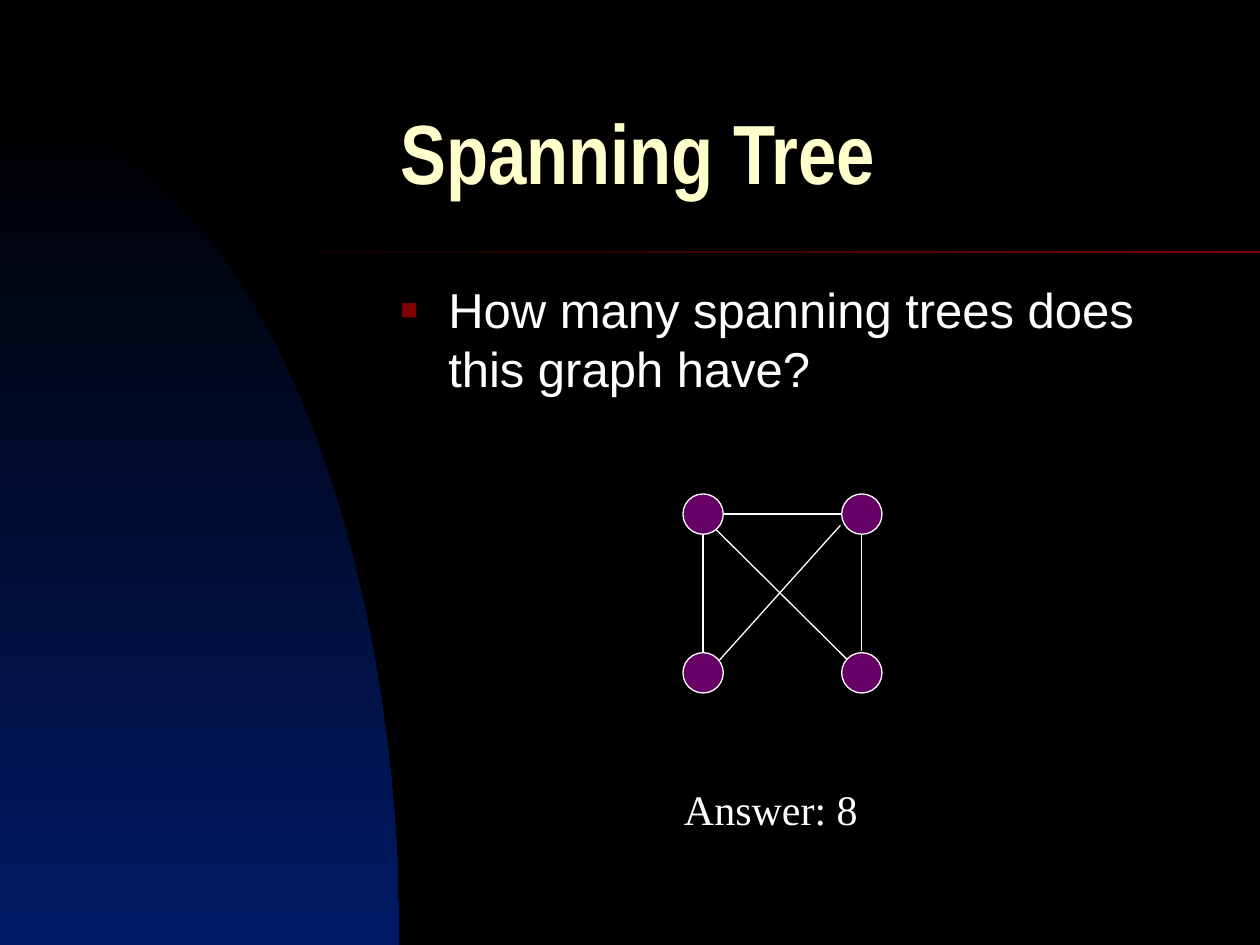
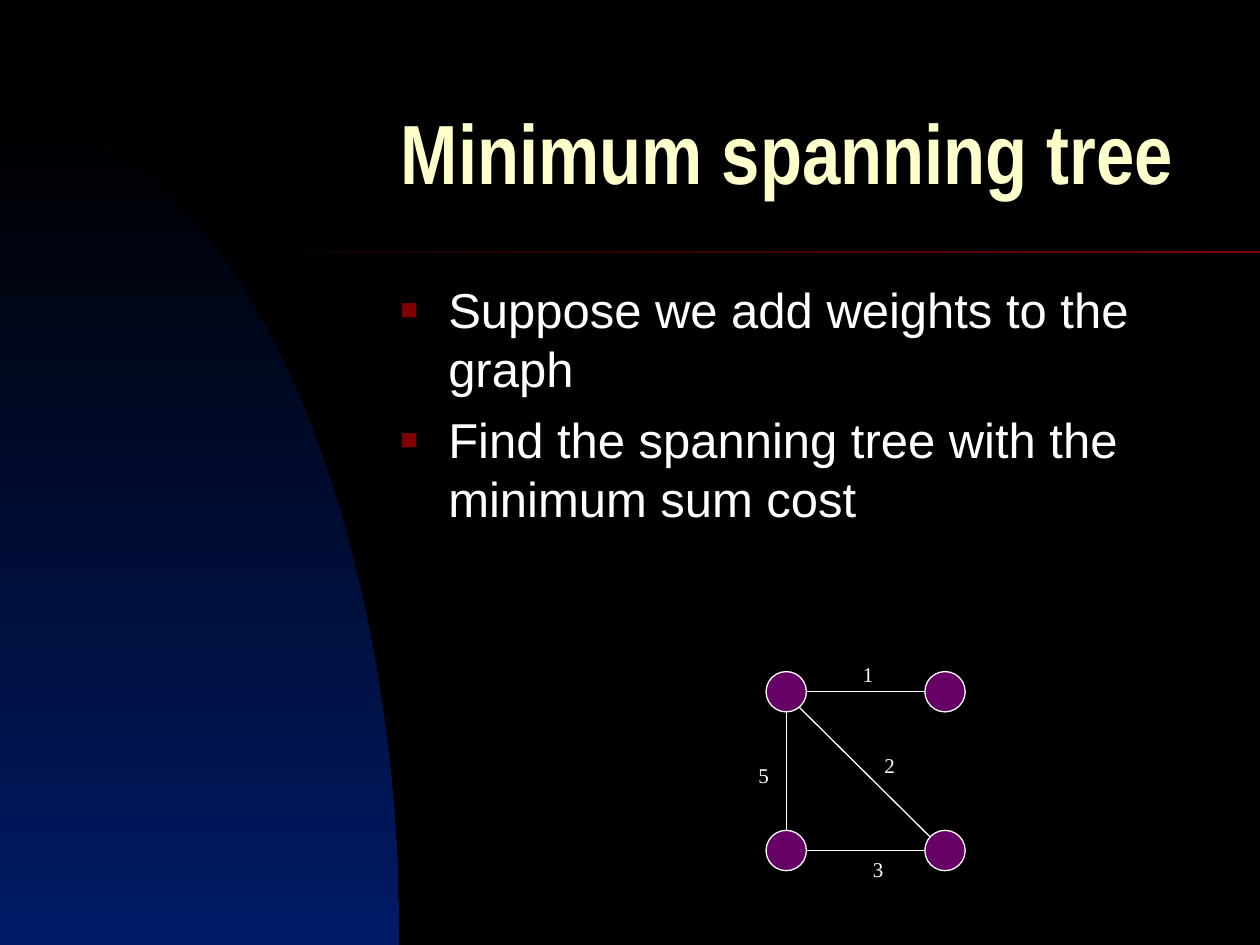
"""Builds two slides about spanning trees and saves them as out.pptx."""
from math import cos, pi, sin

from lxml.etree import SubElement
from pptx import Presentation
from pptx.dml.color import RGBColor
from pptx.enum.shapes import MSO_CONNECTOR, MSO_SHAPE
from pptx.enum.text import MSO_ANCHOR, MSO_AUTO_SIZE, PP_ALIGN
from pptx.oxml.ns import qn
from pptx.util import Inches, Pt


def color(hex_string):
    return RGBColor.from_string(hex_string)


def style_text(paragraph, font_name, size, hex_string, bold=False):
    paragraph.alignment = PP_ALIGN.LEFT
    paragraph.font.name = font_name
    paragraph.font.size = Pt(size)
    paragraph.font.color.rgb = color(hex_string)
    paragraph.font.bold = bold


WHITE, CREAM, MAROON, PURPLE = "FFFFFF", "FFFFCC", "800000", "660066"
BLACK, NAVY = "000000", "001A66"

deck = Presentation()
deck.slide_width, deck.slide_height = Inches(10), Inches(7.5)
width, height = deck.slide_width, deck.slide_height
backdrop = deck.slide_master.background.fill
backdrop.solid()
backdrop.fore_color.rgb = color(BLACK)

text_left, text_width = Inches(3.08), Inches(6.67)
dome_width, dome_top = Inches(3.17), Inches(0.92)
dome_steps = 60
node_size, node_pitch = 0.32, 1.26
edge_ends = {
    "top": (0.32, 0.16, 1.26, 0.16),
    "left": (0.16, 0.32, 0.16, 1.26),
    "bottom": (0.32, 1.42, 1.26, 1.42),
    "right": (1.42, 0.3, 1.42, 1.25),
    "falling": (0.24, 0.26, 1.35, 1.36),
    "rising": (1.25, 0.25, 0.28, 1.33),
}

topics = [
    {
        "title": "Spanning Tree",
        "points": ["How many spanning trees does this graph have?"],
        "points_height": 4.5,
        "graph_at": (5.42, 3.92),
        "edges": ["top", "left", "falling", "right", "rising"],
        "labels": [("Answer: 8", 5.33, 6.17, 1.92, 0.5, 24)],
    },
    {
        "title": "Minimum spanning tree",
        "points": [
            "Suppose we add weights to the graph",
            "Find the spanning tree with the minimum sum cost",
        ],
        "points_height": 3,
        "graph_at": (6.08, 5.33),
        "edges": ["top", "left", "bottom", "falling"],
        "labels": [
            ("1", 6.75, 5.2, 0.33, 0.3, 12),
            ("5", 5.92, 6, 0.33, 0.3, 12),
            ("2", 6.92, 5.92, 0.33, 0.3, 12),
            ("3", 6.83, 6.75, 0.33, 0.3, 12),
        ],
    },
]

for topic in topics:
    slide = deck.slides.add_slide(deck.slide_layouts[5])
    shapes = slide.shapes

    angles = [pi / 2 * step / dome_steps for step in range(dome_steps + 1)]
    curve = [
        (dome_width * sin(angle), height - (height - dome_top) * cos(angle))
        for angle in angles
    ]
    outline = shapes.build_freeform(0, height)
    outline.add_line_segments(curve, close=True)
    dome = outline.convert_to_shape()
    rule = shapes.add_shape(
        MSO_SHAPE.RECTANGLE, Inches(1.8), Inches(1.99), width - Inches(1.8), Inches(0.02)
    )
    for band, end_color, angle in [(dome, NAVY, 270), (rule, MAROON, 0)]:
        band.shadow.inherit = False
        band.line.fill.background()
        band.fill.gradient()
        band.fill.gradient_angle = angle
        for stop, stop_color in zip(band.fill.gradient_stops, [BLACK, end_color]):
            stop.color.rgb = color(stop_color)

    title = shapes.title
    title.left, title.top = text_left, Inches(0.67)
    title.width, title.height = text_width, Inches(1.25)
    heading = title.text_frame
    heading.text = topic["title"]
    heading.vertical_anchor = MSO_ANCHOR.MIDDLE
    heading.auto_size = MSO_AUTO_SIZE.NONE
    heading.paragraphs[0].line_spacing = 0.7
    style_text(heading.paragraphs[0], "Arial Narrow", 48, CREAM, bold=True)

    points = shapes.add_textbox(
        text_left, Inches(2.17), text_width, Inches(topic["points_height"])
    ).text_frame
    points.word_wrap = True
    points.text = "\n".join(topic["points"])
    for index, point in enumerate(points.paragraphs):
        properties = point._p.get_or_add_pPr()
        properties.set("marL", str(Inches(0.38)))
        properties.set("indent", str(-Inches(0.38)))
        bullet_color = SubElement(properties, qn("a:buClr"))
        SubElement(bullet_color, qn("a:srgbClr"), val=MAROON)
        SubElement(properties, qn("a:buSzPct"), val="60000")
        SubElement(properties, qn("a:buFont"), typeface="Arial")
        SubElement(properties, qn("a:buChar"), char="■")
        point.space_before = Pt(7 if index else 0)
        style_text(point, "Arial", 28, WHITE)

    graph_left, graph_top = topic["graph_at"]
    for edge_name in topic["edges"]:
        x1, y1, x2, y2 = edge_ends[edge_name]
        edge = shapes.add_connector(
            MSO_CONNECTOR.STRAIGHT,
            Inches(graph_left + x1),
            Inches(graph_top + y1),
            Inches(graph_left + x2),
            Inches(graph_top + y2),
        )
        edge.line.color.rgb = color(WHITE)
        edge.line.width = Pt(0.75)
        SubElement(edge._element.spPr, qn("a:effectLst"))

    for row in range(2):
        for column in range(2):
            node = shapes.add_shape(
                MSO_SHAPE.OVAL,
                Inches(graph_left + column * node_pitch),
                Inches(graph_top + row * node_pitch),
                Inches(node_size),
                Inches(node_size),
            )
            node.shadow.inherit = False
            node.fill.solid()
            node.fill.fore_color.rgb = color(PURPLE)
            node.line.color.rgb = color(WHITE)
            node.line.width = Pt(0.75)

    for wording, *place, size in topic["labels"]:
        label = shapes.add_textbox(*map(Inches, place)).text_frame
        label.word_wrap = True
        label.text = wording
        style_text(label.paragraphs[0], "Times New Roman", size, WHITE)

deck.save("out.pptx")
